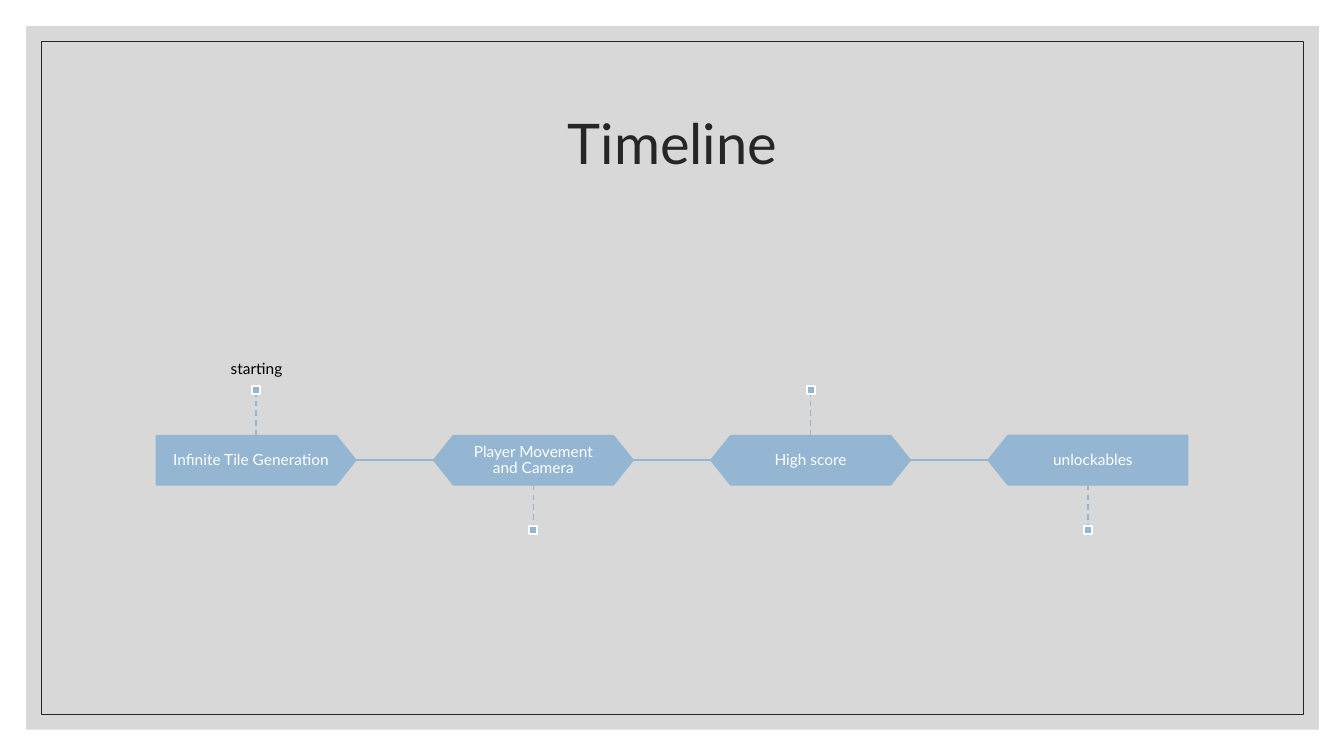
from dataclasses import dataclass

from lxml.etree import SubElement
from pptx import Presentation
from pptx.dml.color import RGBColor
from pptx.enum.dml import MSO_LINE
from pptx.enum.shapes import MSO_CONNECTOR, MSO_SHAPE
from pptx.enum.text import MSO_ANCHOR, PP_ALIGN
from pptx.oxml.ns import qn
from pptx.util import Inches, Pt


@dataclass(frozen=True)
class Theme:
    """Colours, font and type sizes of the slide."""
    font: str = "Lato"
    panel: str = "BFBFBF"
    panel_opacity: int = 60
    ink: str = "262626"
    black: str = "000000"
    white: str = "FFFFFF"
    accent: str = "94B6D2"
    title_size: int = 40
    label_size: int = 11


THEME = Theme()
MILESTONES = [
    ("Infinite Tile Generation", "starting"),
    ("Player Movement and Camera", ""),
    ("High score", ""),
    ("unlockables", ""),
]


def add_text(slide, text, box, *, size, color, anchor=MSO_ANCHOR.MIDDLE, insets=(0.09, 0.09)):
    """Place centred, wrapped text in a box given in inches."""
    frame = slide.shapes.add_textbox(*map(Inches, box)).text_frame
    frame.word_wrap = True
    frame.vertical_anchor = anchor
    frame.margin_left = frame.margin_right = Inches(insets[0])
    frame.margin_top = frame.margin_bottom = Inches(insets[1])
    paragraph = frame.paragraphs[0]
    paragraph.alignment = PP_ALIGN.CENTER
    paragraph.line_spacing = 0.9
    run = paragraph.add_run()
    run.text = text
    run.font.name = THEME.font
    run.font.size = Pt(size)
    run.font.color.rgb = RGBColor.from_string(color)


def add_block(slide, preset, box, *, fill=None, line=None, weight=1):
    """Add a preset shape with an optional fill and outline."""
    block = slide.shapes.add_shape(preset, *map(Inches, box))
    block.shadow.inherit = False
    if fill:
        block.fill.solid()
        block.fill.fore_color.rgb = RGBColor.from_string(fill)
    else:
        block.fill.background()
    if line:
        block.line.color.rgb = RGBColor.from_string(line)
        block.line.width = Pt(weight)
    else:
        block.line.fill.background()
    return block


def add_link(slide, start, end, *, dash=None):
    """Draw a straight accent line between two points."""
    link = slide.shapes.add_connector(MSO_CONNECTOR.STRAIGHT, *map(Inches, (*start, *end)))
    link.line.color.rgb = RGBColor.from_string(THEME.accent)
    link.line.width = Pt(1)
    if dash:
        link.line.dash_style = dash
    SubElement(link._element.spPr, qn("a:effectLst"))


def add_backdrop(slide, box):
    """Draw the translucent panel and the thin frame inside it."""
    left, top, width, height = box
    inset = 0.15
    panel = add_block(slide, MSO_SHAPE.RECTANGLE, box, fill=THEME.panel)
    tint = panel._element.spPr.find(qn("a:solidFill"))[0]
    SubElement(tint, qn("a:alpha"), val=str(THEME.panel_opacity * 1000))
    frame_box = (left + inset, top + inset, width - 2 * inset, height - 2 * inset)
    add_block(slide, MSO_SHAPE.RECTANGLE, frame_box, line=THEME.ink, weight=0.5)


def add_pin(slide, center, edge, direction):
    """Draw a dashed stem and its square marker, up (-1) or down (1)."""
    stem, marker = 0.41, 0.08
    tip = edge + direction * stem
    add_link(slide, (center, edge), (center, tip), dash=MSO_LINE.DASH)
    marker_box = (center - marker / 2, min(tip, tip + direction * marker), marker, marker)
    add_block(slide, MSO_SHAPE.RECTANGLE, marker_box,
              fill=THEME.accent, line=THEME.white, weight=1.5)


def add_timeline(slide, box, milestones):
    """Lay the milestones out in a row, with pins alternating above and below."""
    left, top, width, height = box
    step_width = 1.98
    last = len(milestones) - 1
    pitch = (width - step_width) / last
    middle = top + height / 2
    for index, (name, date) in enumerate(milestones):
        x = left + index * pitch
        center = x + step_width / 2
        at_end = index in (0, last)
        preset = MSO_SHAPE.PENTAGON if at_end else MSO_SHAPE.HEXAGON
        step = add_block(slide, preset, (x, top, step_width, height),
                         fill=THEME.accent, line=THEME.accent)
        step.adjustments[0] = 0.4
        if index == last:
            step.rotation = 180
        if at_end:
            name_box = (x + (0.1 if index else 0), top, step_width - 0.1, height)
        else:
            name_box = (x + 0.23, top + 0.06, step_width - 0.46, height - 0.11)
        add_text(slide, name, name_box, size=THEME.label_size, color=THEME.white)
        if date:
            add_text(slide, date, (center - 1.37, top - 1.79, 2.75, 1.3),
                     size=THEME.label_size, color=THEME.black,
                     anchor=MSO_ANCHOR.BOTTOM, insets=(0, 0.11))
        if index < last:
            add_link(slide, (x + step_width, middle), (x + pitch, middle))
        below = index % 2
        add_pin(slide, center, top + below * height, 1 if below else -1)


def main():
    """Build the timeline slide and save it."""
    deck = Presentation()
    deck.slide_width, deck.slide_height = Inches(13.33), Inches(7.5)
    slide = deck.slides.add_slide(deck.slide_layouts[6])
    add_backdrop(slide, (0.26, 0.26, 12.82, 6.98))
    add_text(slide, "Timeline", (1.17, 0.7, 11, 1.5), size=THEME.title_size, color=THEME.ink)
    add_timeline(slide, (1.55, 4.32, 10.23, 0.49), MILESTONES)
    deck.save("out.pptx")


if __name__ == "__main__":
    main()
